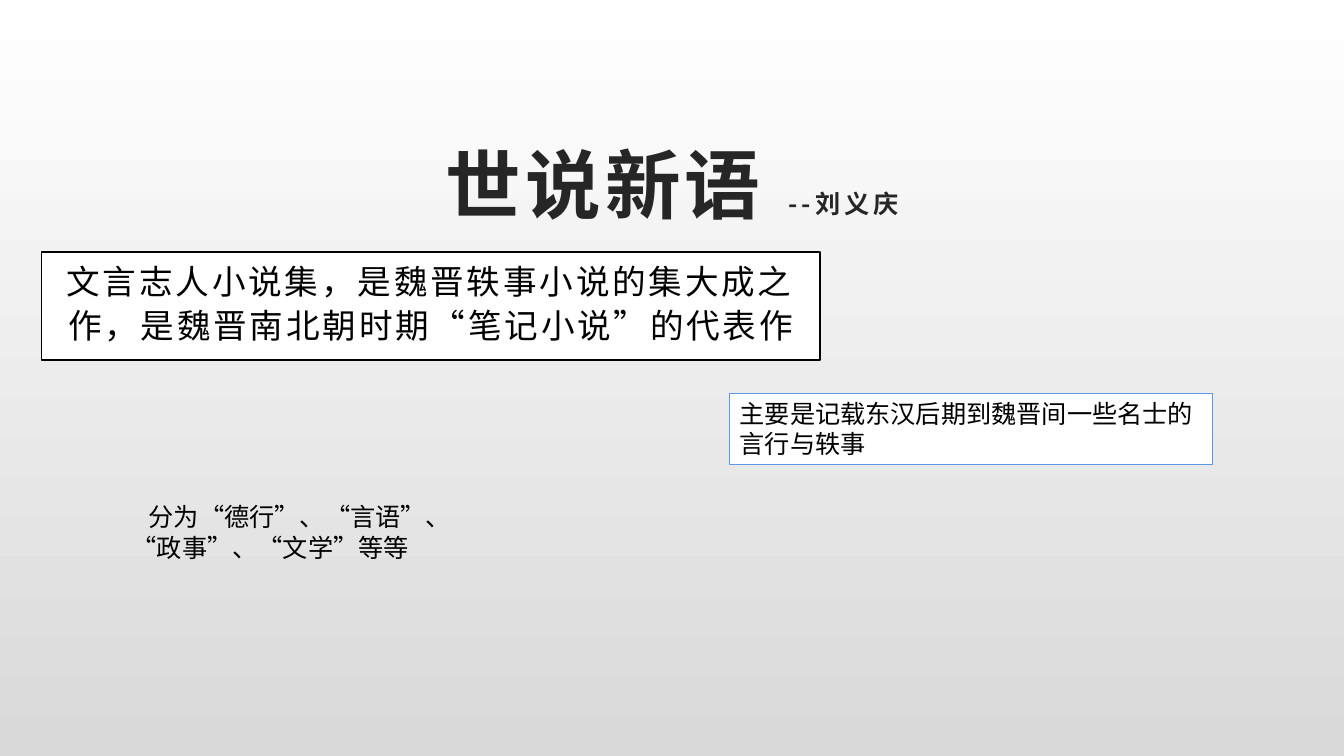
from lxml import etree
from pptx import Presentation
from pptx.dml.color import RGBColor
from pptx.enum.text import MSO_ANCHOR, MSO_AUTO_SIZE, PP_ALIGN
from pptx.oxml.ns import qn
from pptx.util import Cm, Pt

TOP, BOTTOM = MSO_ANCHOR.TOP, MSO_ANCHOR.BOTTOM
FIXED, GROW = MSO_AUTO_SIZE.NONE, MSO_AUTO_SIZE.SHAPE_TO_FIT_TEXT
LEFT, CENTER = PP_ALIGN.LEFT, PP_ALIGN.CENTER
INK = {"title": "262626", "text": "000000", "paper": "FFFFFF",
       "shade": "D9D9D9", "blue": "6096E6"}
LATIN, HAN = "Arial", "Noto Sans CJK SC"


def assign(item, values):
    for name, value in values.items():
        setattr(item, name, value)


class Page:
    def __init__(self, deck):
        self.slide = deck.slides.add_slide(deck.slide_layouts[0])

    def color(self, key):
        return RGBColor.from_string(INK[key])

    def backdrop(self, start, end):
        fill = self.slide.background.fill
        fill.gradient()
        fill.gradient_angle = 270
        for stop, key in zip(fill.gradient_stops, (start, end)):
            stop.color.rgb = self.color(key)

    def place(self, shape, box):
        sides = ("left", "top", "width", "height")
        assign(shape, dict(zip(sides, map(Cm, box))))

    def panel(self, shape, edge):
        shape.fill.solid()
        shape.fill.fore_color.rgb = self.color("paper")
        shape.line.color.rgb = self.color(edge)
        shape.line.width = Pt(1)

    def letter(self, shape, runs, frame, para, ink="text", gap=0, bold=False):
        body = shape.text_frame
        assign(body, {"word_wrap": True, **frame})
        line = body.paragraphs[0]
        assign(line, {"space_before": Pt(0), **para})
        for text, size, face in runs:
            run = line.add_run()
            run.text = text
            assign(run.font, {"size": Pt(size), "name": face, "bold": bold})
            run.font.color.rgb = self.color(ink)
            props = run._r.get_or_add_rPr()
            props.set("spc", str(gap * 100))
            etree.SubElement(props, qn("a:ea")).set("typeface", HAN)
        return line

    def title(self, box, runs):
        shape = self.slide.shapes.title
        self.place(shape, box)
        self.letter(shape, runs,
                    {"auto_size": FIXED, "vertical_anchor": BOTTOM},
                    {"alignment": CENTER}, "title", 3, True)

    def body(self, box, runs, edge):
        shape = self.slide.placeholders[1]
        self.place(shape, box)
        self.panel(shape, edge)
        self.letter(shape, runs,
                    {"auto_size": FIXED, "vertical_anchor": TOP},
                    {"alignment": CENTER, "line_spacing": 1.1,
                     "space_after": Pt(10)}, gap=2)

    def note(self, box, runs, edge=None, indent=0):
        shape = self.slide.shapes.add_textbox(*map(Cm, box))
        if edge:
            self.panel(shape, edge)
        line = self.letter(shape, runs, {"auto_size": GROW},
                           {"alignment": LEFT})
        if indent:
            line._p.get_or_add_pPr().set("indent", str(int(Cm(indent))))


deck = Presentation()
assign(deck, {"slide_width": Cm(33.87), "slide_height": Cm(19.05)})
page = Page(deck)
page.backdrop("paper", "shade")
page.title((3.33, 2.54, 27.23, 3.4),
           [("世说新语", 54, LATIN), (" ", 60, LATIN), ("--刘义庆", 18, HAN)])
page.body((1.04, 6.35, 19.63, 2.72),
          [("文言志人小说集，是魏晋轶事小说的集大成之作，"
            "是魏晋南北朝时期“笔记小说”的代表作", 24, LATIN)], "text")
page.note((18.39, 9.91, 12.17, 1.8),
          [("主要是记载东汉后期到魏晋间一些名士的言行与轶事", 18, LATIN)], "blue")
page.note((3.07, 12.52, 8.84, 1.8),
          [("分为“德行”、“言语”、 “政事”、“文学”等等", 18, HAN)], indent=0.43)
deck.save("out.pptx")
